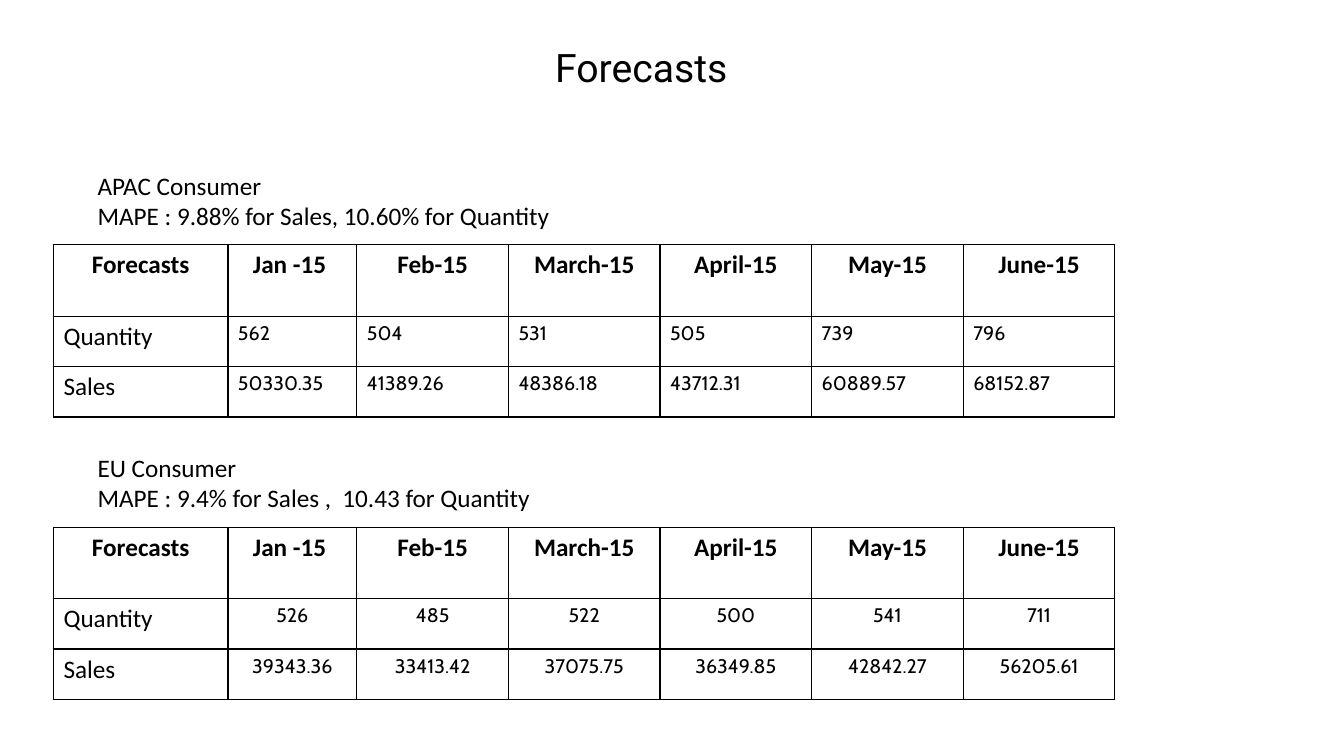
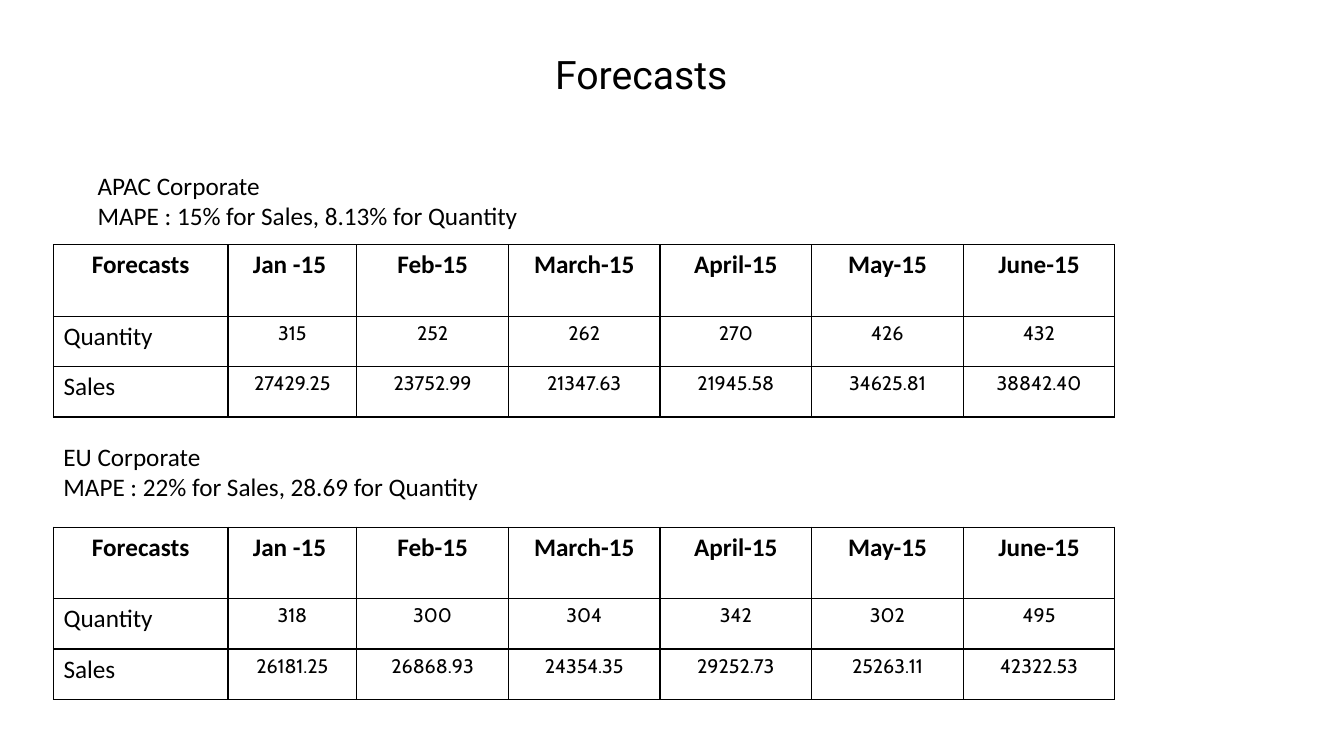
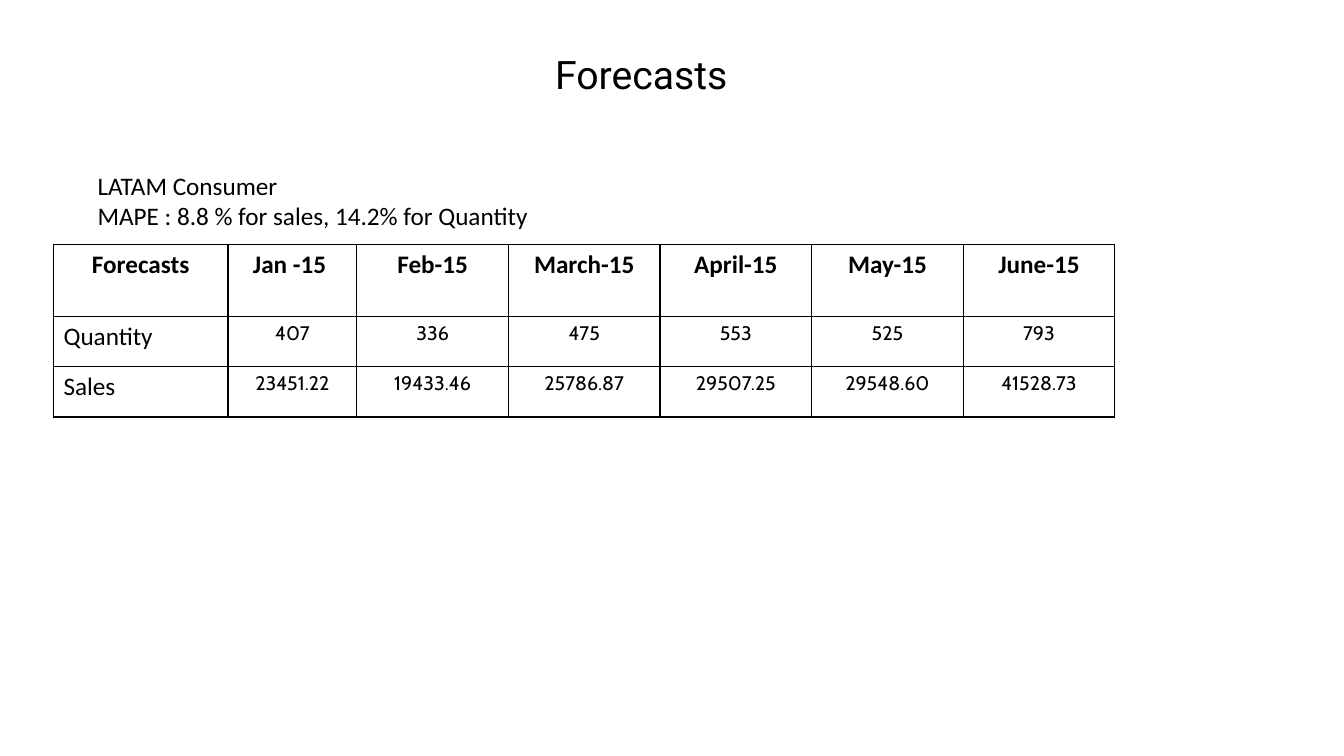
from pptx import Presentation
from pptx.dml.color import RGBColor
from pptx.enum.text import MSO_ANCHOR, PP_ALIGN
from pptx.oxml.ns import qn
from pptx.util import Pt
from lxml import etree

BLACK = RGBColor(0, 0, 0)
LEFT, CENTER = PP_ALIGN.LEFT, PP_ALIGN.CENTER
TOP, MIDDLE = MSO_ANCHOR.TOP, MSO_ANCHOR.MIDDLE
BODY_FONT, TITLE_FONT, NUMBER_FONT = "Calibri", "Roboto", "Cabin"

HEADER = ["Forecasts", "Jan -15 ", "Feb-15", "March-15", "April-15", "May-15", "June-15"]
COLUMN_WIDTHS = [124.6, 92.1] + [108.3] * 5
ROW_HEIGHTS = [51, 36, 36]
TABLE_LEFT = 38.2
UPPER_TABLE, LOWER_TABLE = 174.8, 376.6
INDENTED = 62.6
UPPER_CAPTION, LOWER_CAPTION = 118, 319.7

SLIDES = [
    (14, [
        (UPPER_TABLE, (INDENTED, UPPER_CAPTION, 524),
         ["APAC Consumer", "MAPE : 9.88% for Sales, 10.60% for Quantity"],
         ["562", "504", "531", "505", "739", "796"],
         ["50330.35", "41389.26", "48386.18", "43712.31", "60889.57", "68152.87"], LEFT),
        (LOWER_TABLE, (INDENTED, LOWER_CAPTION, 460),
         ["EU Consumer", "MAPE : 9.4% for Sales ,  10.43 for Quantity"],
         ["526", "485", "522", "500", "541", "711"],
         ["39343.36", "33413.42", "37075.75", "36349.85", "42842.27", "56205.61"], CENTER),
    ]),
    (19, [
        (UPPER_TABLE, (INDENTED, UPPER_CAPTION, 505),
         ["APAC Corporate", "MAPE : 15% for Sales, 8.13% for Quantity"],
         ["315", "252", "262", "270", "426", "432"],
         ["27429.25", "23752.99", "21347.63", "21945.58", "34625.81", "38842.40"], CENTER),
        (LOWER_TABLE, (TABLE_LEFT, 311.4, 577),
         ["EU Corporate", "MAPE : 22% for Sales, 28.69 for Quantity"],
         ["318", "300", "304", "342", "302", "495"],
         ["26181.25", "26868.93", "24354.35", "29252.73", "25263.11", "42322.53"], CENTER),
    ]),
    (19, [
        (UPPER_TABLE, (INDENTED, UPPER_CAPTION, 545),
         ["LATAM Consumer", "MAPE : 8.8 % for sales, 14.2% for Quantity"],
         ["407", "336", "475", "553", "525", "793"],
         ["23451.22", "19433.46", "25786.87", "29507.25", "29548.60", "41528.73"], CENTER),
    ]),
]


def write(tf, lines, size=18, font=BODY_FONT, bold=False, align=LEFT):
    for i, line in enumerate(lines):
        p = tf.add_paragraph() if i else tf.paragraphs[0]
        p.alignment = align
        r = p.add_run()
        r.text = line
        r.font.size = Pt(size)
        r.font.name = font
        r.font.bold = bold
        r.font.color.rgb = BLACK


def add_text(s, lines, left, top, width, height, anchor=TOP, **style):
    sp = s.shapes.add_textbox(Pt(left), Pt(top), Pt(width), Pt(height))
    tf = sp.text_frame
    tf.word_wrap = True
    tf.vertical_anchor = anchor
    write(tf, lines, **style)


def add_borders(cell):
    props = cell._tc.get_or_add_tcPr()
    for i, side in enumerate(("lnL", "lnR", "lnT", "lnB")):
        ln = etree.Element(qn(f"a:{side}"), w=str(Pt(1)))
        fill = etree.SubElement(ln, qn("a:solidFill"))
        etree.SubElement(fill, qn("a:srgbClr"), val=str(BLACK))
        props.insert(i, ln)


def cell_style(row, col, number_align):
    if row == 0:
        return {"bold": True, "align": CENTER}
    if col == 0:
        return {}
    return {"size": 14, "font": NUMBER_FONT, "align": number_align}


def add_forecast_table(s, top, quantity, sales, number_align):
    rows = [HEADER, ["Quantity"] + quantity, ["Sales"] + sales]
    table = s.shapes.add_table(
        len(rows), len(HEADER), Pt(TABLE_LEFT), Pt(top),
        Pt(sum(COLUMN_WIDTHS)), Pt(sum(ROW_HEIGHTS))).table
    table.first_row = table.horz_banding = False
    for column, width in zip(table.columns, COLUMN_WIDTHS):
        column.width = Pt(width)
    for i, (texts, height) in enumerate(zip(rows, ROW_HEIGHTS)):
        table.rows[i].height = Pt(height)
        for j, text in enumerate(texts):
            cell = table.cell(i, j)
            cell.fill.background()
            add_borders(cell)
            write(cell.text_frame, [text], **cell_style(i, j, number_align))


def main():
    prs = Presentation()
    prs.slide_width, prs.slide_height = Pt(960), Pt(540)
    for title_top, sections in SLIDES:
        s = prs.slides.add_slide(prs.slide_layouts[6])
        add_text(s, ["Forecasts"], 91, title_top, 734, 68, anchor=MIDDLE,
                 size=28, font=TITLE_FONT, align=CENTER)
        for top, (left, caption_top, width), caption, quantity, sales, align in sections:
            add_text(s, caption, left, caption_top, width, 50.4)
            add_forecast_table(s, top, quantity, sales, align)
    prs.save("out.pptx")


if __name__ == "__main__":
    main()
